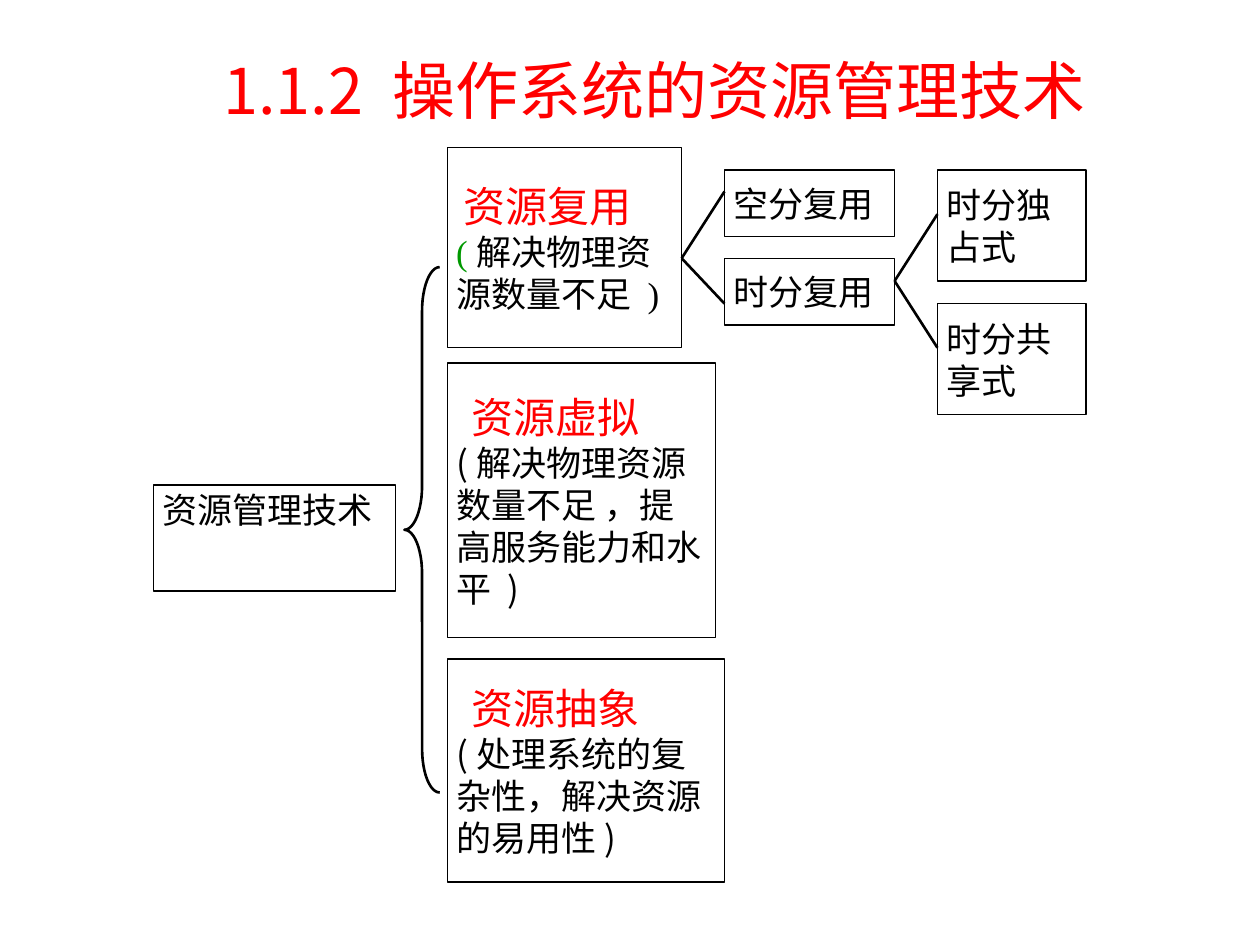
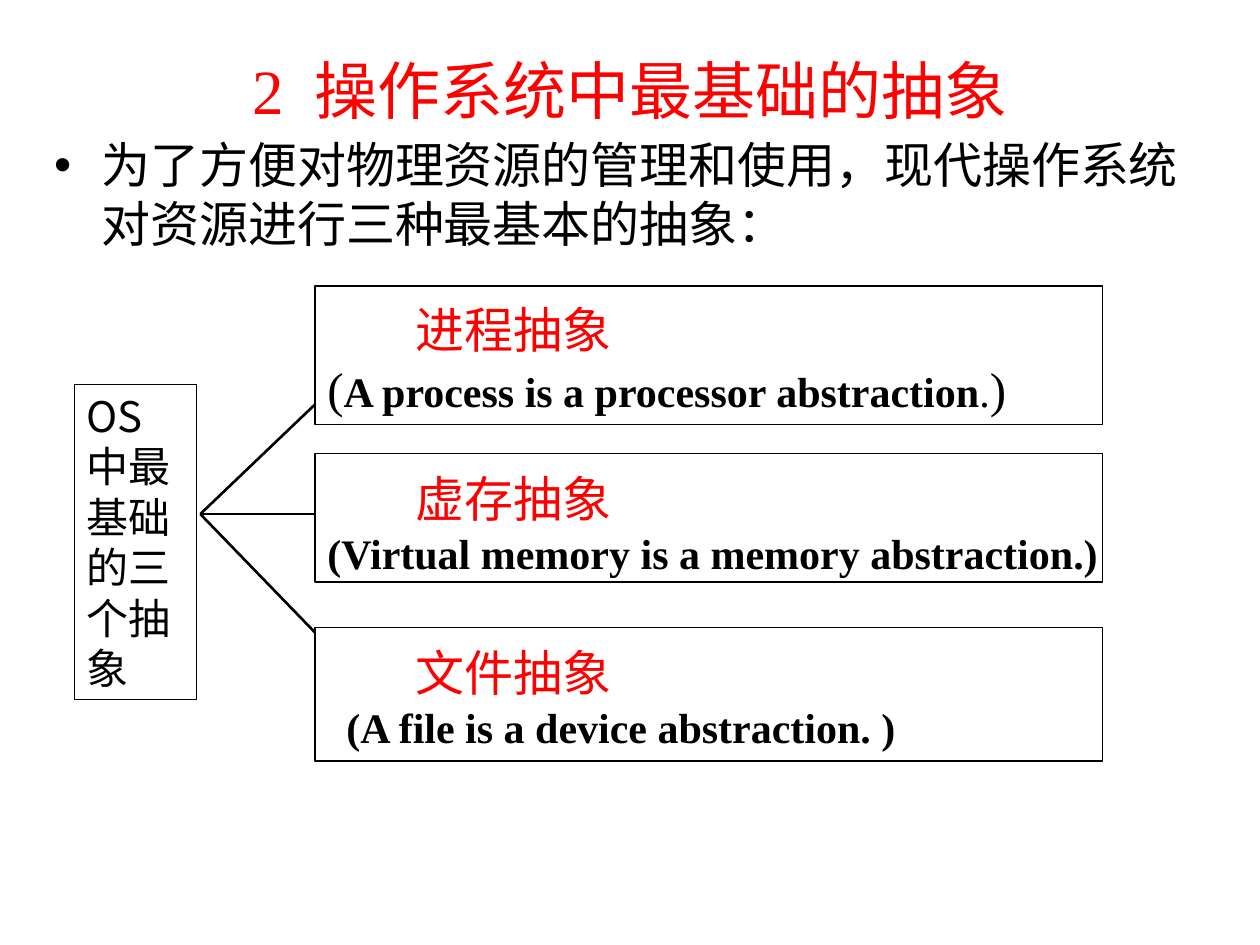
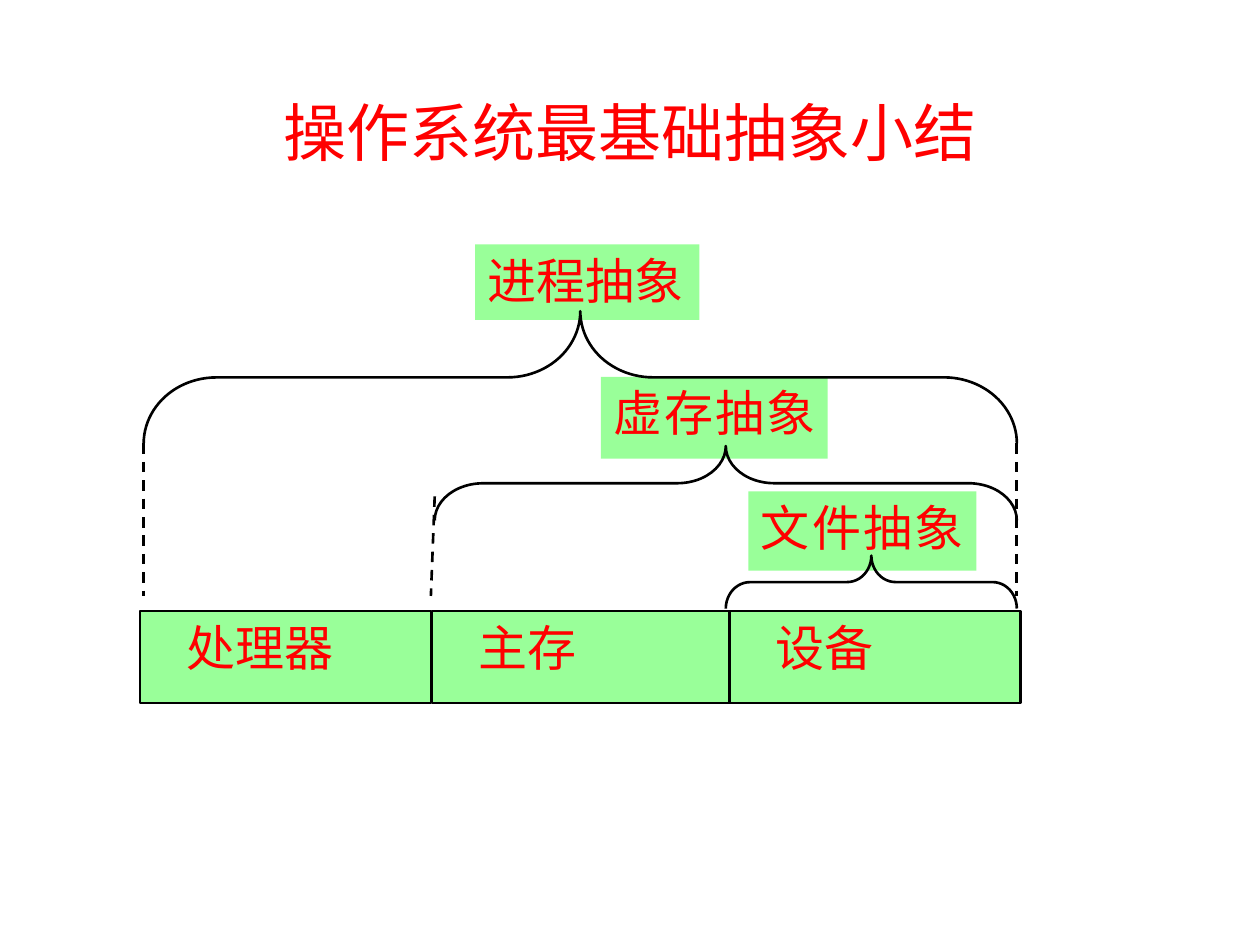
from dataclasses import dataclass

from lxml import etree
from pptx import Presentation
from pptx import util as u
from pptx.dml.color import RGBColor
from pptx.enum import dml, shapes, text
from pptx.oxml.ns import qn

RED, GREEN, BLACK, WHITE, MINT = "FF0000", "009900", "000000", "FFFFFF", "99FF99"
SANS, SERIF = "Noto Sans CJK SC", "Times New Roman"
LEADING = 1.2


@dataclass(frozen=True)
class Insets:
    left: float = 0.1
    right: float = 0.1
    vertical: float = 0.05


@dataclass(frozen=True)
class Run:
    words: str
    size: float = 20
    color: str = BLACK
    font: str = SANS
    bold: bool = False
    tracking: float = 0


@dataclass(frozen=True)
class Para:
    runs: tuple[Run, ...]
    indent: float = 0
    align: text.PP_ALIGN = text.PP_ALIGN.LEFT


@dataclass(frozen=True)
class Box:
    left: float
    top: float
    width: float
    height: float
    paras: tuple[Para, ...] = ()
    fill: str = ""
    line: float = 0.75
    middle: bool = False
    insets: Insets = Insets()


@dataclass(frozen=True)
class Brace:
    left: float
    top: float
    depth: float
    length: float
    points_up: bool = False


def rgb(hex_color: str) -> RGBColor:
    return RGBColor.from_string(hex_color)


def place(shape, left: float, top: float, width: float, height: float) -> None:
    shape.left, shape.top = u.Inches(left), u.Inches(top)
    shape.width, shape.height = u.Inches(width), u.Inches(height)


def write(frame, paras: tuple[Para, ...], insets: Insets = Insets(), middle: bool = False) -> None:
    frame.word_wrap = True
    frame.auto_size = text.MSO_AUTO_SIZE.NONE
    frame.vertical_anchor = text.MSO_ANCHOR.MIDDLE if middle else text.MSO_ANCHOR.TOP
    frame.margin_left, frame.margin_right = u.Inches(insets.left), u.Inches(insets.right)
    frame.margin_top = frame.margin_bottom = u.Inches(insets.vertical)
    for index, para in enumerate(paras):
        paragraph = frame.add_paragraph() if index else frame.paragraphs[0]
        paragraph.alignment = para.align
        paragraph.space_before = u.Pt(0)
        paragraph.line_spacing = u.Pt(LEADING * max(run.size for run in para.runs))
        if para.indent:
            paragraph._p.get_or_add_pPr().set("marL", str(u.Inches(para.indent)))
        for part in para.runs:
            run = paragraph.add_run()
            run.text = part.words
            run.font.size = u.Pt(part.size)
            run.font.bold = part.bold
            run.font.color.rgb = rgb(part.color)
            run.font.name = part.font
            properties = run._r.get_or_add_rPr()
            etree.SubElement(properties, qn("a:ea")).set("typeface", SANS)
            if part.tracking:
                properties.set("spc", str(round(part.tracking * 100)))


def add_title(slide, words: str, font: str, left=0.75, top=0.36, width=8.5) -> None:
    place(slide.shapes.title, left, top, width, 0.6)
    title = Para((Run(words, 36, RED, font),), align=text.PP_ALIGN.CENTER)
    write(slide.shapes.title.text_frame, (title,))


def add_box(slide, box: Box) -> None:
    shape = slide.shapes.add_shape(
        shapes.MSO_SHAPE.RECTANGLE,
        *map(u.Inches, (box.left, box.top, box.width, box.height)),
    )
    shape.shadow.inherit = False
    if box.fill:
        shape.fill.solid()
        shape.fill.fore_color.rgb = rgb(box.fill)
    else:
        shape.fill.background()
    if box.line:
        shape.line.color.rgb = rgb(BLACK)
        shape.line.width = u.Pt(box.line)
    else:
        shape.line.fill.background()
    if box.paras:
        write(shape.text_frame, box.paras, box.insets, box.middle)


def add_text(slide, left: float, top: float, width: float, height: float, paras: tuple[Para, ...]) -> None:
    label = slide.shapes.add_textbox(*map(u.Inches, (left, top, width, height)))
    write(label.text_frame, paras)


def add_line(slide, start: tuple[float, float], end: tuple[float, float], dashed: bool = False) -> None:
    line = slide.shapes.add_connector(
        shapes.MSO_CONNECTOR.STRAIGHT, *map(u.Inches, (*start, *end))
    )
    line.line.color.rgb = rgb(BLACK)
    line.line.width = u.Pt(1.5)
    if dashed:
        line.line.dash_style = dml.MSO_LINE.DASH
    etree.SubElement(line._element.spPr, qn("a:effectLst"))


def add_brace(slide, brace: Brace) -> None:
    left, top = brace.left, brace.top
    if brace.points_up:
        shift = (brace.length - brace.depth) / 2
        left, top = left + shift, top - shift
    shape = slide.shapes.add_shape(
        shapes.MSO_SHAPE.LEFT_BRACE,
        *map(u.Inches, (left, top, brace.depth, brace.length)),
    )
    shape.rotation = 90 if brace.points_up else 0
    shape.adjustments[0] = brace.length / 12 / brace.depth
    shape.shadow.inherit = False
    shape.fill.background()
    shape.line.color.rgb = rgb(BLACK)
    shape.line.width = u.Pt(1.5)


def build_techniques(slide) -> None:
    add_title(slide, "1.1.2 操作系统的资源管理技术", SANS, left=0.67, width=9.05)
    add_brace(slide, Brace(3.21, 2.12, 0.28, 4.17))
    insets = Insets(0.07, 0.07, 0.03)
    techniques = (
        (1.17, 1.86, 1.59, "", "资源复用", 0.06,
         (Run("(", color=GREEN, font=SERIF), Run("解决物理资源数量不足 )", font=SERIF))),
        (2.88, 2.13, 2.18, "", "资源虚拟", 0.12,
         (Run("(解决物理资源数量不足 ，提高服务能力和水平 )"),)),
        (5.23, 2.2, 1.77, WHITE, "资源抽象", 0.12,
         (Run("(处理系统的复杂性，解决资源的易用性)"),)),
    )
    for top, width, height, fill, heading, indent, purpose in techniques:
        paras = (Para((Run(heading, 24, RED),), indent), Para(purpose))
        add_box(slide, Box(3.55, top, width, height, paras, fill, middle=True, insets=insets))

    kinds = (
        (5.75, 1.35, 1.35, 0.53, "空分复用"),
        (5.75, 2.05, 1.35, 0.53, "时分复用"),
        (7.44, 1.35, 1.18, 0.88, "时分独占式"),
        (7.44, 2.41, 1.18, 0.88, "时分共享式"),
    )
    for left, top, width, height, words in kinds:
        paras = (Para((Run(words, font=SERIF),)),)
        add_box(slide, Box(left, top, width, height, paras, middle=True, insets=insets))

    branches = (
        ((5.41, 2.05), ((5.75, 1.52), (5.75, 2.41))),
        ((7.1, 2.23), ((7.44, 1.7), (7.44, 2.76))),
    )
    for start, ends in branches:
        for end in ends:
            add_line(slide, start, end)

    root = Para((Run("资源管理技术", font=SERIF),), align=text.PP_ALIGN.JUSTIFY)
    add_box(slide, Box(1.22, 3.85, 1.92, 0.84, (root,), insets=insets))


def build_abstractions(slide) -> None:
    add_title(slide, "2 操作系统中最基础的抽象", SERIF)
    body = slide.placeholders[1]
    place(body, 0.43, 1.07, 8.98, 0.93)
    purpose = "为了方便对物理资源的管理和使用，现代操作系统对资源进行三种最基本的抽象："
    write(body.text_frame, (Para((Run(purpose, 28, font=SERIF),)),), Insets(0, 0, 0))

    process = (
        Run("(", 28, font=SERIF),
        Run("A process is a processor abstraction", 24, font=SERIF, bold=True),
        Run(".", 24, font=SERIF),
        Run(")", 28, font=SERIF),
    )
    memory = (Run("(Virtual memory is a memory abstraction.)", 24, font=SERIF, bold=True),)
    file = (Run("(A file is a device abstraction. )", 24, font=SERIF, bold=True),)
    abstractions = (
        (2.27, 1.1, 2.33, 5.78, 1.04, "进程抽象", process, 0),
        (3.6, 1.02, 3.67, 6.56, 0.97, "虚存抽象", memory, 0),
        (4.98, 1.06, 5.05, 6.25, 0.97, "文件抽象", file, 0.15),
    )
    for top, height, text_top, text_width, text_height, heading, meaning, indent in abstractions:
        add_box(slide, Box(2.5, top, 6.25, height))
        paras = (Para((Run(heading, 28, RED),), 0.7), Para(meaning, indent))
        add_text(slide, 2.5, text_top, text_width, text_height, paras)

    root = Para((Run("OS中最基础的三个抽象", 24),))
    add_box(slide, Box(0.59, 3.05, 0.97, 2.5, (root,)))
    for end_y in (4.08, 3.21, 5.02):
        add_line(slide, (1.59, 4.08), (2.5, end_y))


def build_summary(slide) -> None:
    add_title(slide, "操作系统最基础抽象小结", SERIF, top=0.69)
    abstractions = (
        (5.94, 3.9, 1.81, 0.63, "文件抽象", 1.3),
        (4.77, 2.99, 1.8, 0.65, "虚存抽象", 1.3),
        (3.77, 1.94, 1.78, 0.6, "进程抽象", 0),
    )
    for left, top, width, height, words, tracking in abstractions:
        paras = (Para((Run(words, 28, RED, tracking=tracking),)),)
        add_box(slide, Box(left, top, width, height, paras, MINT, line=0, insets=Insets(right=0)))

    resources = ((1.11, 2.31, "处理器"), (3.43, 2.36, "主存"), (5.79, 2.31, "设备"))
    for left, width, words in resources:
        paras = (Para((Run(words, 28, RED),), 0.27),)
        add_box(slide, Box(left, 4.85, width, 0.73, paras, MINT, line=1.5))

    right, step = 8.07, 2.31
    for count, (top, depth) in enumerate(((4.41, 0.42), (3.54, 0.59), (2.47, 1.05)), 1):
        add_brace(slide, Brace(right - count * step, top, depth, count * step, points_up=True))

    floor = 4.73
    for start, end_x in (((3.45, 3.94), 3.42), ((1.14, 3.52), 1.14), ((right, 3.52), right)):
        add_line(slide, start, (end_x, floor), dashed=True)


def main() -> None:
    deck = Presentation()
    deck.slide_width, deck.slide_height = u.Inches(10), u.Inches(7.5)
    title_and_body, title_only = deck.slide_layouts[1], deck.slide_layouts[5]
    build_techniques(deck.slides.add_slide(title_only))
    build_abstractions(deck.slides.add_slide(title_and_body))
    build_summary(deck.slides.add_slide(title_only))
    deck.save("out.pptx")


if __name__ == "__main__":
    main()
